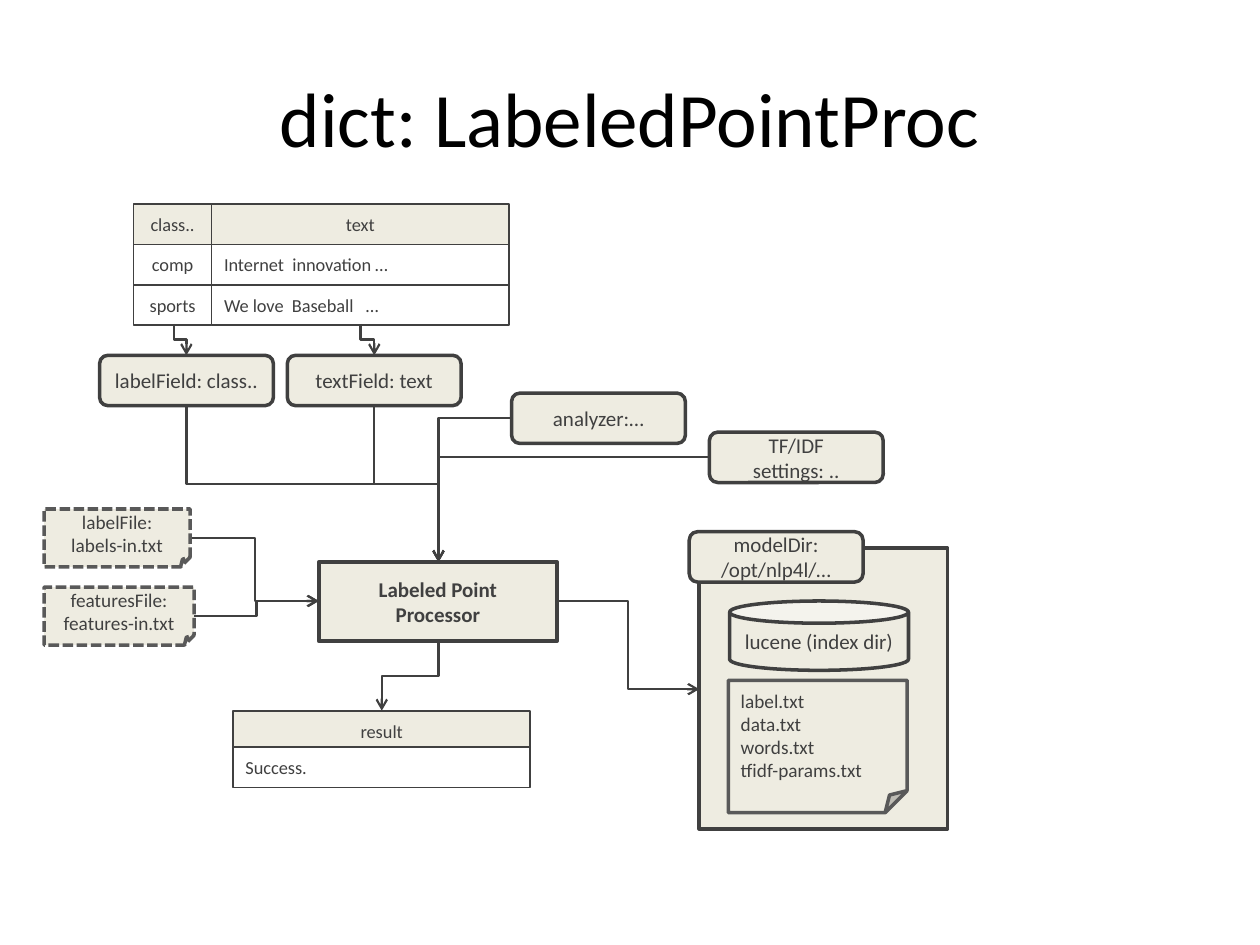
import pptx
import pptx.dml.color
import pptx.enum.dml
import pptx.enum.shapes
import pptx.enum.text
import pptx.oxml
import pptx.oxml.ns
import pptx.util

Inches = pptx.util.Inches
Pt = pptx.util.Pt
RGBColor = pptx.dml.color.RGBColor
SHAPE = pptx.enum.shapes.MSO_SHAPE
ALIGN = pptx.enum.text.PP_ALIGN
MIDDLE = pptx.enum.text.MSO_ANCHOR.MIDDLE
DASH = pptx.enum.dml.MSO_LINE.SQUARE_DOT
qn = pptx.oxml.ns.qn

BLACK = RGBColor(0x00, 0x00, 0x00)
WHITE = RGBColor(0xFF, 0xFF, 0xFF)
CREAM = RGBColor(0xEE, 0xEC, 0xE1)
DARK = RGBColor(0x40, 0x40, 0x40)
GREY = RGBColor(0x59, 0x59, 0x59)

ROW_HEIGHT = 0.32
FIELD_WIDTH, FIELD_HEIGHT = 1.38, 0.4


def write(frame, lines, size, color=DARK, align=ALIGN.CENTER, bold=False):
    frame.word_wrap = True
    frame.vertical_anchor = MIDDLE
    for index, line in enumerate(lines):
        paragraph = frame.paragraphs[0] if index == 0 else frame.add_paragraph()
        paragraph.text = line
        paragraph.alignment = align
        paragraph.font.name = "Calibri"
        paragraph.font.size = Pt(size)
        paragraph.font.bold = bold
        paragraph.font.color.rgb = color


def add_box(slide, kind, box, lines=(), size=12, fill=CREAM, line=DARK, weight=2,
            align=ALIGN.CENTER, bold=False):
    shape = slide.shapes.add_shape(kind, *map(Inches, box))
    shape.shadow.inherit = False
    shape.fill.solid()
    shape.fill.fore_color.rgb = fill
    shape.line.color.rgb = line
    shape.line.width = Pt(weight)
    write(shape.text_frame, lines, size, align=align, bold=bold)
    return shape


def add_title(slide, box, title):
    textbox = slide.shapes.add_textbox(*map(Inches, box))
    write(textbox.text_frame, [title], 44, BLACK)


def add_cell(slide, box, text, fill=WHITE, align=ALIGN.CENTER):
    add_box(slide, SHAPE.RECTANGLE, box, [text], 10.5, fill, weight=1, align=align)


def add_field(slide, left, top, text):
    add_box(slide, SHAPE.ROUNDED_RECTANGLE, (left, top, FIELD_WIDTH, FIELD_HEIGHT), [text])


def add_input_table(slide, left, top):
    class_width, text_width = 0.62, 2.36
    rows = [("class..", "text"),
            ("comp", "Internet  innovation …"),
            ("sports", "We love  Baseball   …")]
    for index, (label, text) in enumerate(rows):
        row_top = top + index * ROW_HEIGHT
        fill = WHITE if index else CREAM
        align = ALIGN.LEFT if index else ALIGN.CENTER
        add_cell(slide, (left, row_top, class_width, ROW_HEIGHT), label, fill)
        add_cell(slide, (left + class_width, row_top, text_width, ROW_HEIGHT),
                 text, fill, align)


def add_result_table(slide, left, top):
    width = 2.36
    add_cell(slide, (left, top, width, ROW_HEIGHT), "result", CREAM)
    add_cell(slide, (left, top + 0.29, width, ROW_HEIGHT), "Success.", align=ALIGN.LEFT)


def add_input_files(slide, left, top):
    files = [(1.16, ["labelFile:", "labels-in.txt"]),
             (1.19, ["featuresFile:", "features-in.txt"])]
    for index, (width, lines) in enumerate(files):
        file = add_box(slide, SHAPE.FOLDED_CORNER,
                       (left, top + index * 0.62, width, 0.46), lines, 11, line=GREY)
        file.line.dash_style = DASH


def add_model_directory(slide, left, top):
    add_box(slide, SHAPE.RECTANGLE, (left, top, 1.97, 2.23))
    index_store = add_box(slide, SHAPE.CAN, (left + 0.24, top + 0.42, 1.42, 0.55),
                          ["lucene (index dir)"])
    index_store.adjustments[0] = 0.32
    add_box(slide, SHAPE.FOLDED_CORNER, (left + 0.23, top + 1.05, 1.42, 1.05),
            ["label.txt", "data.txt", "words.txt", "tfidf-params.txt"], 11,
            line=GREY, align=ALIGN.LEFT)
    add_field(slide, left - 0.08, top - 0.13, "modelDir: /opt/nlp4l/…")


def add_arrow(slide, start, end):
    """Elbow arrow that leaves and arrives horizontally."""
    arrow = slide.shapes.add_connector(pptx.enum.shapes.MSO_CONNECTOR.ELBOW,
                                       *map(Inches, (*start, *end)))
    arrow.line.color.rgb = DARK
    arrow.line.width = Pt(1.25)
    line = arrow.line._get_or_add_ln()
    line.append(pptx.oxml.parse_xml(
        f'<a:tailEnd {pptx.oxml.ns.nsdecls("a")} type="arrow"/>'))
    properties = arrow._element.spPr
    properties.append(properties.makeelement(qn("a:effectLst"), {}))
    return arrow


def turn(arrow, degrees, flip=None):
    transform = arrow._element.spPr.find(qn("a:xfrm"))
    for name in ("flipH", "flipV"):
        transform.attrib.pop(name, None)
    transform.set("rot", str(degrees * 60000))
    if flip:
        transform.set(flip, "1")


def add_down_arrow(slide, start, end):
    """Elbow arrow that leaves and arrives vertically: a turned horizontal one."""
    (x1, y1), (x2, y2) = start, end
    length, shift = y2 - y1, abs(x2 - x1)
    left = (x1 + x2 - length) / 2
    top = (y1 + y2 - shift) / 2
    arrow = add_arrow(slide, (left, top), (left + length, top + shift))
    if x2 > x1:
        turn(arrow, 270, "flipH")
    else:
        turn(arrow, 90)


def add_corner_arrow(slide, start, end):
    """Arrow that runs left, then down, with a single bend."""
    arrow = add_arrow(slide, start, end)
    arrow._element.spPr.find(qn("a:prstGeom")).set("prst", "bentConnector2")
    turn(arrow, 180, "flipV")


def add_arrows(slide):
    processor_top, processor_left = (3.48, 4.46), (2.53, 4.77)
    add_arrow(slide, (1.52, 4.27), processor_left)
    add_arrow(slide, (1.54, 4.89), processor_left)
    add_arrow(slide, (4.42, 4.77), (5.55, 5.47))
    for column_x, field_x in ((1.38, 1.48), (2.86, 2.97)):
        add_down_arrow(slide, (column_x, 2.57), (field_x, 2.82))
        add_down_arrow(slide, (field_x, 3.22), processor_top)
    add_down_arrow(slide, (3.48, 5.09), (3.03, 5.64))
    for setting in ((4.06, 3.32), (5.63, 3.63)):
        add_corner_arrow(slide, setting, processor_top)


def main():
    presentation = pptx.Presentation()
    presentation.slide_width = Inches(10)
    presentation.slide_height = Inches(7.5)
    slide = presentation.slides.add_slide(presentation.slide_layouts[6])

    add_title(slide, (0.5, 0.3, 9, 1.25), "dict: LabeledPointProc")
    add_input_table(slide, 1.06, 1.62)
    add_field(slide, 0.79, 2.82, "labelField: class..")
    add_field(slide, 2.28, 2.82, "textField: text")
    add_field(slide, 4.06, 3.12, "analyzer:…")
    add_field(slide, 5.63, 3.43, "TF/IDF settings: ..")
    add_input_files(slide, 0.35, 4.04)
    add_box(slide, SHAPE.RECTANGLE, (2.53, 4.46, 1.89, 0.63),
            ["Labeled Point", "Processor"], bold=True)
    add_model_directory(slide, 5.55, 4.35)
    add_result_table(slide, 1.85, 5.64)
    add_arrows(slide)

    presentation.save("out.pptx")


if __name__ == "__main__":
    main()
